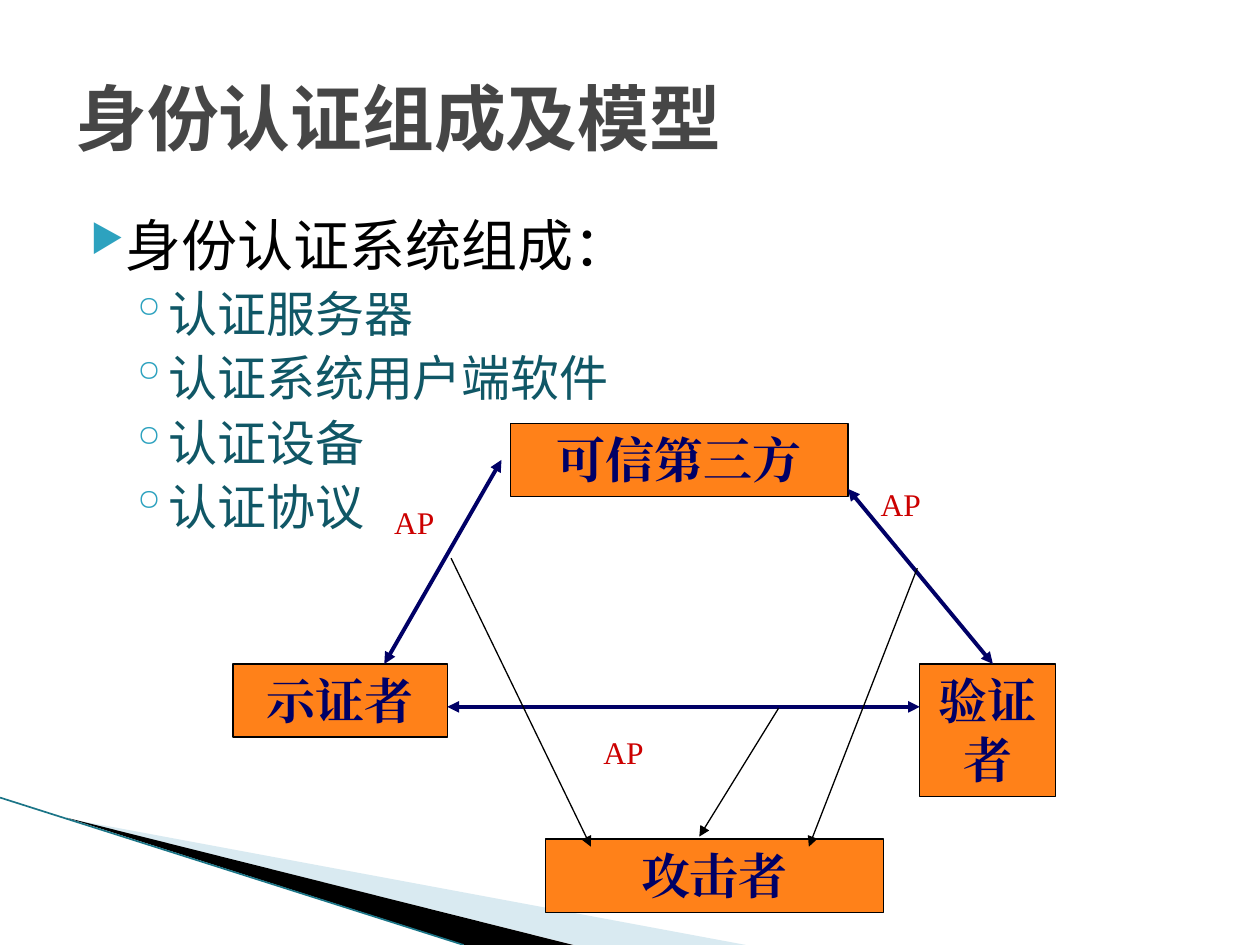
from typing import NamedTuple

import lxml.etree
import pptx
import pptx.dml.color
import pptx.enum.shapes
import pptx.enum.text
import pptx.oxml.ns
import pptx.util

COLUMNS, ROWS = 100, 75
COLORS = {
    "title": "464646", "body": "000000", "sub": "105766", "bullet": "2DA2BF",
    "box": "FF8119", "navy": "000066", "black": "000000", "red": "CC0000",
    "pale": "A0CBDC", "edge": "1B7587",
}
SANS, SERIF = "Noto Sans Mono", "Times New Roman"
ALIGN = pptx.enum.text.PP_ALIGN
ANCHOR = pptx.enum.text.MSO_ANCHOR
qn = pptx.oxml.ns.qn


class Style(NamedTuple):
    size: float
    color: str
    name: str
    bold: bool = False


class Bullet(NamedTuple):
    character: str
    margin: float
    hanging: float
    percent: int
    before: float


class Label(NamedTuple):
    text: str
    left: float
    top: float
    width: float
    height: float


class Arrow(NamedTuple):
    start: tuple[float, float]
    end: tuple[float, float]


TITLE = Style(41, "title", SANS, True)
BODY, SUB = Style(32, "body", SANS), Style(28, "sub", SANS)
PARTY, PROTOCOL = Style(28, "navy", SERIF, True), Style(18, "red", SERIF)
MAIN_BULLET = Bullet("▶", 0.4, 0.28, 68, 0)
SUB_BULLET = Bullet("◦", 0.68, 0.25, 100, 3.2)

OUTLINE = [("身份认证系统组成：", BODY, MAIN_BULLET)] + [
    (text, SUB, SUB_BULLET)
    for text in ("认证服务器", "认证系统用户端软件", "认证设备", "认证协议")
]
PARTIES = [
    Label("示证者", 18.5, 52.7, 17, 5.8),
    Label("可信第三方", 40.5, 33.6, 26.8, 5.8),
    Label("验证者", 73, 52.7, 10.8, 10.5),
    Label("攻击者", 43.3, 66.6, 26.8, 5.8),
]
PROTOCOLS = [
    Label("AP", 30.3, 39.4, 8.7, 5),
    Label("AP", 46.9, 57.7, 16.5, 5),
    Label("AP", 68.9, 38, 16.5, 5),
]
EXCHANGES = [
    Arrow((30.5, 52.7), (39.8, 36.5)),
    Arrow((35.5, 56.1), (73, 56.1)),
    Arrow((67.3, 38.8), (78.8, 52.7)),
]
ATTACKS = [
    Arrow((61.8, 56.2), (55.5, 66.4)),
    Arrow((35.8, 44.3), (46.9, 67.2)),
    Arrow((72.8, 45.1), (64.2, 67.2)),
]

presentation = pptx.Presentation()
presentation.slide_width = pptx.util.Inches(10)
presentation.slide_height = pptx.util.Inches(7.5)
slide = presentation.slides.add_slide(presentation.slide_layouts[6])


def x(column: float) -> int:
    return round(presentation.slide_width * column / COLUMNS)


def y(row: float) -> int:
    return round(presentation.slide_height * row / ROWS)


def rgb(color: str) -> pptx.dml.color.RGBColor:
    return pptx.dml.color.RGBColor.from_string(COLORS[color])


def add_run(paragraph, text: str, style: Style) -> None:
    run = paragraph.add_run()
    run.text = text
    run.font.color.rgb = rgb(style.color)
    values = {"size": pptx.util.Pt(style.size), "name": style.name, "bold": style.bold}
    for attribute, value in values.items():
        setattr(run.font, attribute, value)
    east_asian = lxml.etree.SubElement(run.font._element, qn("a:ea"))
    east_asian.set("typeface", style.name)


def add_bullet(paragraph, bullet: Bullet) -> None:
    properties = paragraph._p.get_or_add_pPr()
    properties.set("marL", str(pptx.util.Inches(bullet.margin)))
    properties.set("indent", str(-pptx.util.Inches(bullet.hanging)))
    color = lxml.etree.SubElement(properties, qn("a:buClr"))
    lxml.etree.SubElement(color, qn("a:srgbClr")).set("val", COLORS["bullet"])
    size = lxml.etree.SubElement(properties, qn("a:buSzPct"))
    size.set("val", str(bullet.percent * 1000))
    lxml.etree.SubElement(properties, qn("a:buChar")).set("char", bullet.character)
    paragraph.space_before = pptx.util.Pt(bullet.before)


def add_text(label: Label, style: Style, anchor=ANCHOR.TOP):
    shape = slide.shapes.add_textbox(
        x(label.left), y(label.top), x(label.width), y(label.height))
    frame = shape.text_frame
    frame.word_wrap = True
    frame.vertical_anchor = anchor
    if label.text:
        add_run(frame.paragraphs[0], label.text, style)
    return frame


def add_outline() -> None:
    frame = add_text(Label("", 5, 16.2, 90, 49.5), BODY)
    for index, (text, style, bullet) in enumerate(OUTLINE):
        paragraph = frame.add_paragraph() if index else frame.paragraphs[0]
        add_bullet(paragraph, bullet)
        add_run(paragraph, text, style)


def add_party(label: Label) -> None:
    shape = slide.shapes.add_shape(
        pptx.enum.shapes.MSO_SHAPE.RECTANGLE,
        x(label.left), y(label.top), x(label.width), y(label.height))
    shape.shadow.inherit = False
    shape.fill.solid()
    shape.fill.fore_color.rgb = rgb("box")
    shape.line.color.rgb = rgb("black")
    shape.line.width = pptx.util.Pt(0.75)
    shape.text_frame.word_wrap = True
    shape.text_frame.vertical_anchor = ANCHOR.TOP
    paragraph = shape.text_frame.paragraphs[0]
    paragraph.alignment = ALIGN.CENTER
    add_run(paragraph, label.text, PARTY)


def add_line(arrow: Arrow, color: str, width: float, ends: tuple[str, ...] = ()) -> None:
    """Draw a line with a triangle at each of ends (headEnd, tailEnd)."""
    connector = slide.shapes.add_connector(
        pptx.enum.shapes.MSO_CONNECTOR.STRAIGHT,
        x(arrow.start[0]), y(arrow.start[1]), x(arrow.end[0]), y(arrow.end[1]))
    connector.line.color.rgb = rgb(color)
    connector.line.width = pptx.util.Pt(width)
    for end in ends:
        tip = lxml.etree.SubElement(connector.line._get_or_add_ln(), qn(f"a:{end}"))
        tip.set("type", "triangle")
    lxml.etree.SubElement(connector._element.spPr, qn("a:effectLst"))


def add_wedge(points: list[tuple[float, float]], color: str, opacity: int = 100) -> None:
    first, *others = [(x(column), y(row)) for column, row in points]
    builder = slide.shapes.build_freeform(*first)
    builder.add_line_segments(others)
    shape = builder.convert_to_shape()
    shape.shadow.inherit = False
    shape.fill.solid()
    shape.fill.fore_color.rgb = rgb(color)
    shape.line.fill.background()
    if opacity < 100:
        fill_color = shape._element.spPr.find(f".//{qn('a:srgbClr')}")
        lxml.etree.SubElement(fill_color, qn("a:alpha")).set("val", str(opacity * 1000))


add_wedge([(5.5, 65), (59.2, 75), (45.6, 75)], "pale", 40)
add_wedge([(5.3, 64.9), (45.5, 75), (36.9, 75)], "black")
add_line(Arrow((0, 63.3), (36.8, 75)), "edge", 0.95)
add_outline()
add_text(Label("身份认证组成及模型", 5, 3, 90, 12.5), TITLE, ANCHOR.MIDDLE)
for party in PARTIES:
    add_party(party)
for exchange in EXCHANGES:
    add_line(exchange, "navy", 2.25, ("headEnd", "tailEnd"))
for protocol in PROTOCOLS:
    add_text(protocol, PROTOCOL)
for attack in ATTACKS:
    add_line(attack, "black", 0.75, ("tailEnd",))

presentation.save("out.pptx")
